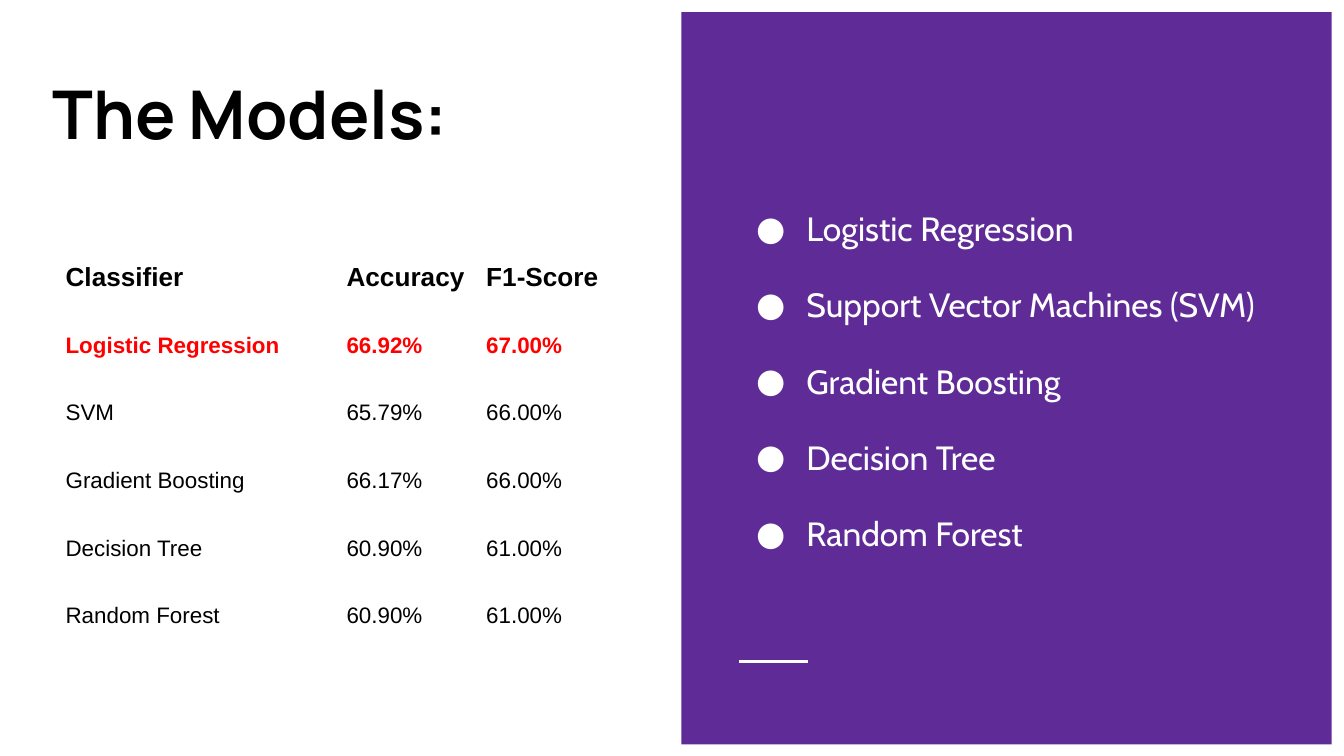
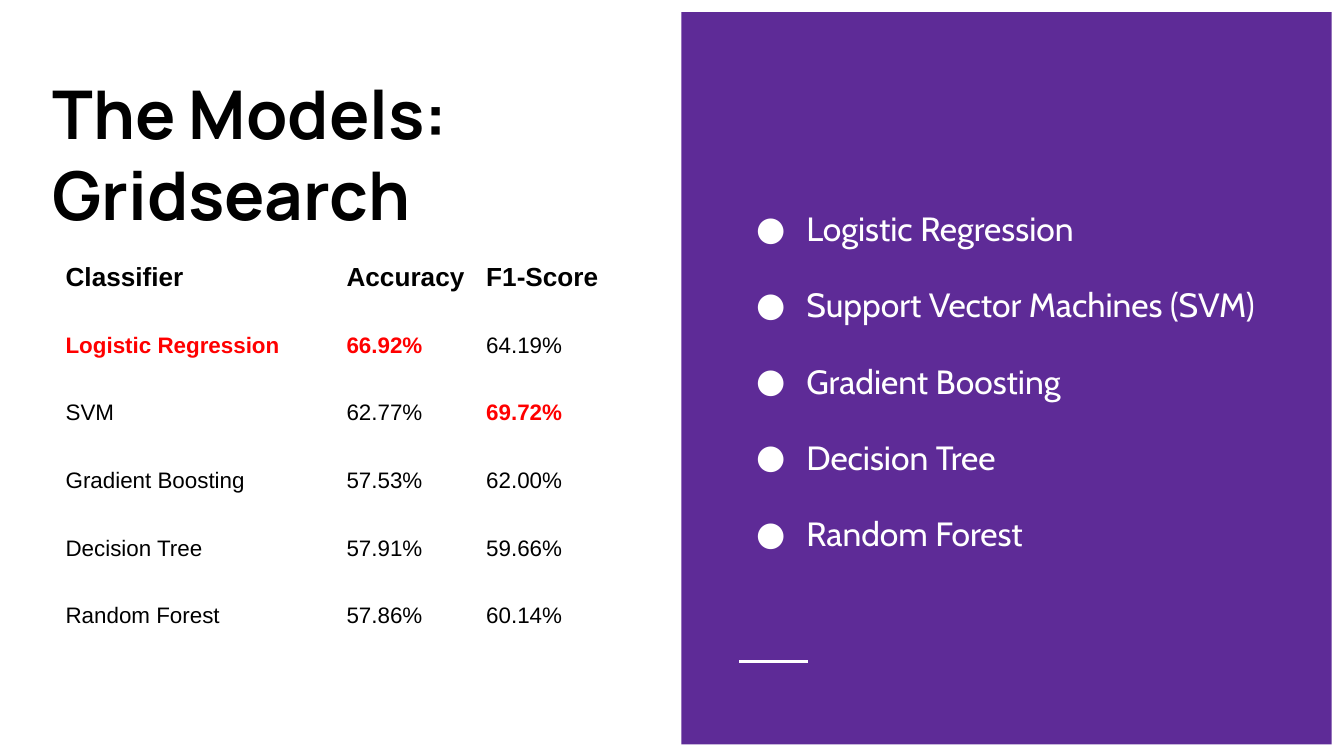
"""Build two slides that compare classifier scores."""
import pptx
import pptx.dml.color
import pptx.enum.shapes
import pptx.enum.text
import pptx.oxml.ns
import pptx.util
from lxml import etree

Cm = pptx.util.Cm
Pt = pptx.util.Pt
qn = pptx.oxml.ns.qn
ANCHOR = pptx.enum.text.MSO_ANCHOR

COLORS = {"panel": "5E2B97", "paper": "FFFFFF", "ink": "000000", "best": "FF0000"}
MODELS = ["Logistic Regression", "Support Vector Machines (SVM)",
          "Gradient Boosting", "Decision Tree", "Random Forest"]
HEAD = ["Classifier", "Accuracy", "F1-Score"]
NAMES = ["Logistic Regression", "SVM", "Gradient Boosting",
         "Decision Tree", "Random Forest"]
SLIDES = [
    (["The Models:"],
     ["66.92%", "65.79%", "66.17%", "60.90%", "60.90%"],
     ["67.00%", "66.00%", "66.00%", "61.00%", "61.00%"]),
    (["The Models:", "Gridsearch"],
     ["66.92%", "62.77%", "57.53%", "57.91%", "57.86%"],
     ["64.19%", "69.72%", "62.00%", "59.66%", "60.14%"]),
]


def tint(name):
    return pptx.dml.color.RGBColor.from_string(COLORS[name])


def write(frame, text, font="Arial", size=12, color="ink", bold=False,
          lead=1.0, before=0, after=0, dot=False):
    """Add one formatted paragraph to a text frame."""
    para = frame.paragraphs[0]
    if para.runs:
        para = frame.add_paragraph()
    para.line_spacing = lead
    para.space_before = Pt(before)
    para.space_after = Pt(after)
    run = para.add_run()
    run.text = text
    run.font.name = font
    run.font.size = Pt(size)
    run.font.bold = bold
    run.font.color.rgb = tint(color)
    if dot:
        props = para._p.get_or_add_pPr()
        props.set("marL", str(Cm(1.27)))
        props.set("indent", str(Cm(-0.95)))
        shade = etree.SubElement(props, qn("a:buClr"))
        etree.SubElement(shade, qn("a:srgbClr"), val=COLORS[color])
        etree.SubElement(props, qn("a:buFont"), typeface=font)
        etree.SubElement(props, qn("a:buChar"), char="●")


class Deck:
    """Hold the style and the current slide."""

    def __init__(self):
        self.show = pptx.Presentation()
        self.show.slide_width = Cm(25.4)
        self.show.slide_height = Cm(14.29)
        self.slide = None

    def start(self):
        self.slide = self.show.slides.add_slide(self.show.slide_layouts[6])
        self.panel(12.88, 0.23, 12.29, 13.84)
        self.rule(13.97, 12.5, 1.3)

    def panel(self, left, top, width, height):
        box = self.slide.shapes.add_shape(
            pptx.enum.shapes.MSO_SHAPE.RECTANGLE,
            Cm(left), Cm(top), Cm(width), Cm(height))
        box.shadow.inherit = False
        box.fill.solid()
        box.fill.fore_color.rgb = tint("panel")
        box.line.fill.background()

    def rule(self, left, top, width):
        line = self.slide.shapes.add_connector(
            pptx.enum.shapes.MSO_CONNECTOR.STRAIGHT,
            Cm(left), Cm(top), Cm(left + width), Cm(top))
        line.line.color.rgb = tint("paper")
        line.line.width = Pt(1.5)
        etree.SubElement(line._element.spPr, qn("a:effectLst"))

    def frame(self, left, top, width, height, anchor, inset=0.25):
        box = self.slide.shapes.add_textbox(Cm(left), Cm(top), Cm(width), Cm(height))
        frame = box.text_frame
        frame.word_wrap = True
        frame.vertical_anchor = anchor
        frame.margin_left = frame.margin_right = Cm(0.25)
        frame.margin_top = frame.margin_bottom = Cm(inset)
        return frame

    def title(self, lines):
        frame = self.frame(0.74, 1.24, 11.38, 3.43, ANCHOR.TOP, inset=0.13)
        for line in lines:
            write(frame, line, font="Manrope", size=36, bold=True)

    def bullets(self, items):
        frame = self.frame(13.72, 2.01, 10.67, 10.26, ANCHOR.MIDDLE)
        for item in items:
            write(frame, item, font="Cabin", size=18, color="paper", lead=1.15,
                  before=0 if item == items[0] else 16,
                  after=16 if item == items[-1] else 0, dot=True)

    def table(self, head, names, *scores):
        widths = [5.31, 2.64, 2.72]
        tall = 1.28
        count = len(names) + 1
        grid = self.slide.shapes.add_table(
            count, len(head), Cm(1.09), Cm(4.57),
            Cm(sum(widths)), Cm(tall * count)).table
        grid.first_row = grid.horz_banding = False
        for col, width in zip(grid.columns, widths):
            col.width = Cm(width)
        tops = [max(score) for score in scores]
        for col, label in enumerate(head):
            self.cell(grid.cell(0, col), label, size=14, bold=True)
        for row, (name, *vals) in enumerate(zip(names, *scores), 1):
            wins = [val == top for val, top in zip(vals, tops)]
            for col, (text, win) in enumerate(zip([name, *vals], [wins[0], *wins])):
                self.cell(grid.cell(row, col), text, bold=win,
                          color="best" if win else "ink")

    def cell(self, cell, text, **style):
        cell.fill.solid()
        cell.fill.fore_color.rgb = tint("paper")
        cell.vertical_anchor = ANCHOR.MIDDLE
        cell.margin_left = cell.margin_right = Cm(0.15)
        cell.margin_top = cell.margin_bottom = Cm(0.15)
        write(cell.text_frame, text, lead=1.15, before=9, **style)


def main():
    deck = Deck()
    for lines, acc, score in SLIDES:
        deck.start()
        deck.title(lines)
        deck.bullets(MODELS)
        deck.table(HEAD, NAMES, acc, score)
    deck.show.save("out.pptx")


if __name__ == "__main__":
    main()
